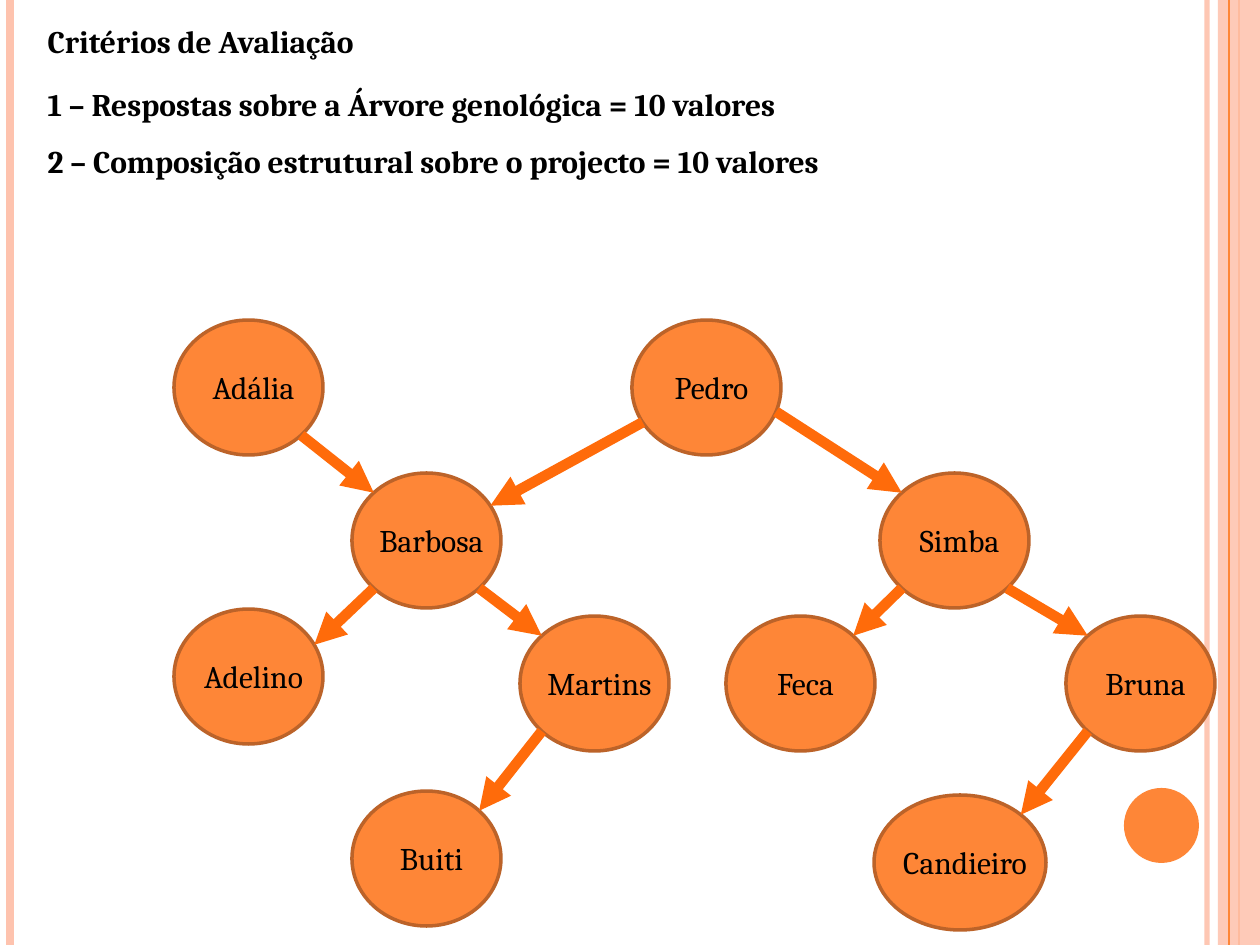
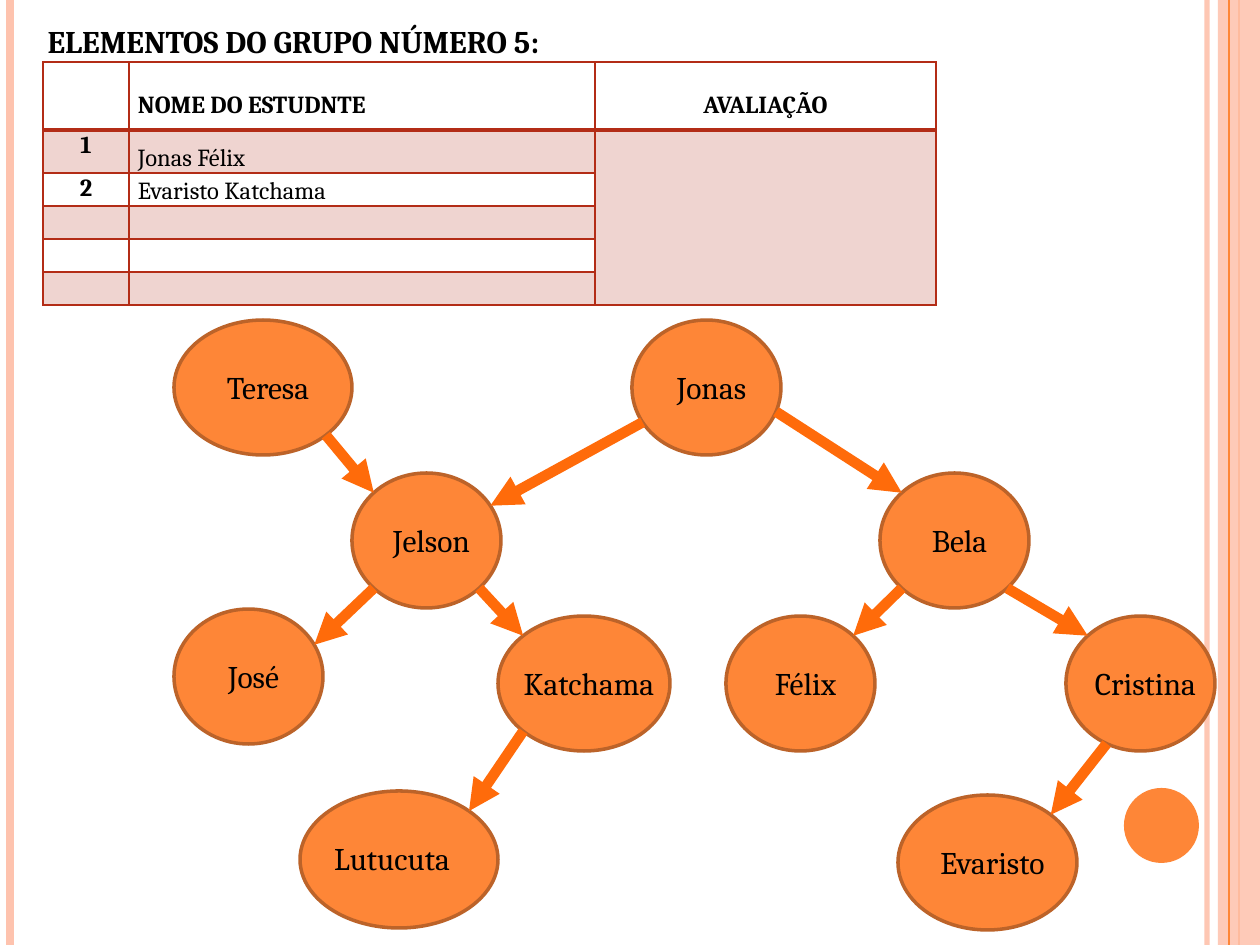
from dataclasses import dataclass
from math import cos, radians, sin

from lxml import etree
from pptx import Presentation
from pptx.dml.color import RGBColor
from pptx.enum.shapes import MSO_CONNECTOR, MSO_SHAPE
from pptx.enum.text import MSO_ANCHOR, MSO_AUTO_SIZE, PP_ALIGN
from pptx.oxml.ns import qn
from pptx.util import Emu, Pt

STRAIGHT = MSO_CONNECTOR.STRAIGHT
OVAL, RECTANGLE = MSO_SHAPE.OVAL, MSO_SHAPE.RECTANGLE
TOP, BOTTOM = MSO_ANCHOR.TOP, MSO_ANCHOR.BOTTOM
LEFT, CENTER, JUSTIFY = PP_ALIGN.LEFT, PP_ALIGN.CENTER, PP_ALIGN.JUSTIFY
FIXED_SIZE = MSO_AUTO_SIZE.NONE

EMU_PER_PIXEL = 914400 / 126
SLIDE_WIDTH, SLIDE_HEIGHT = 1260, 945
TITLE_ONLY, TITLE_AND_BODY = 5, 1


@dataclass(frozen=True)
class Theme:
    font: str = "Cambria"
    text: RGBColor = RGBColor(0, 0, 0)
    orange: RGBColor = RGBColor.from_string("FE8637")
    outline: RGBColor = RGBColor.from_string("BC6329")
    arrow: RGBColor = RGBColor.from_string("FF6B0A")
    band: RGBColor = RGBColor.from_string("FEC3AE")
    table: RGBColor = RGBColor.from_string("B32C16")
    text_size: int = 18
    table_size: int = 14
    criteria_pitch: float = 32.5


THEME = Theme()

NODE_WIDTH, NODE_HEIGHT = 149, 135
LABEL_DROP, LABEL_HEIGHT, LABEL_EXTRA = 42, 50, 10

PLACES = {
    "mother": (174, 320),
    "father": (632, 320),
    "son": (352, 473),
    "daughter": (880, 473),
    "first_grandchild": (174, 609),
    "second_grandchild": (520, 616),
    "third_grandchild": (726, 616),
    "fourth_grandchild": (1066, 616),
    "left_descendant": (352, 791),
    "right_descendant": (874, 795),
}

LINKS = {
    ("mother", "son"): (45, 225),
    ("father", "son"): (149, 329),
    ("father", "daughter"): (21, 225),
    ("son", "first_grandchild"): (135, 332),
    ("son", "second_grandchild"): (45, 225),
    ("daughter", "third_grandchild"): (135, 315),
    ("daughter", "fourth_grandchild"): (45, 225),
    ("second_grandchild", "left_descendant"): (135, 315),
    ("fourth_grandchild", "right_descendant"): (135, 315),
}


@dataclass(frozen=True)
class Person:
    name: str
    left: int
    top: int
    width: int = NODE_WIDTH
    height: int = NODE_HEIGHT
    label_shift: int = 0

    def edge(self, angle):
        turn = radians(angle)
        return (self.left + self.width / 2 * (1 + cos(turn)),
                self.top + self.height / 2 * (1 + sin(turn)))


def px(*lengths):
    return [Emu(round(length * EMU_PER_PIXEL)) for length in lengths]


def set_alpha(element, percent):
    color = element.find(".//" + qn("a:srgbClr"))
    etree.SubElement(color, qn("a:alpha"), val=str(percent * 1000))


def format_paragraph(paragraph, size, align, bold=False):
    paragraph.alignment = align
    font = paragraph.font
    font.name, font.size, font.bold = THEME.font, Pt(size), bold
    font.color.rgb = THEME.text


def add_filled(shapes, preset, box, fill, outline=None):
    shape = shapes.add_shape(preset, *px(*box))
    shape.shadow.inherit = False
    shape.fill.solid()
    shape.fill.fore_color.rgb = fill
    if outline:
        shape.line.color.rgb = outline
        shape.line.width = Pt(2)
    else:
        shape.line.fill.background()
    return shape


def add_line(slide, start, end, color, width):
    line = slide.shapes.add_connector(STRAIGHT, *px(*start, *end))
    line.line.color.rgb = color
    line.line.width = Pt(width)
    etree.SubElement(line.element.spPr, qn("a:effectLst"))
    return line


def add_arrow(slide, start, end):
    arrow = add_line(slide, start, end, THEME.arrow, 6)
    outline = arrow.element.spPr.find(qn("a:ln"))
    etree.SubElement(outline, qn("a:tailEnd"), type="triangle")


def decorate_master(deck, slide):
    def rule(x, color, width):
        return add_line(slide, (x, 0), (x, SLIDE_HEIGHT), color, width)

    inner_rule = rule(1207, THEME.band, 3)
    set_alpha(inner_rule.element.spPr, 93)
    left_rule = rule(10, THEME.band, 4.5)
    outer_rule = rule(1239, THEME.orange, 1.5)
    side_band = add_filled(slide.shapes, RECTANGLE,
                           (1218, 0, SLIDE_WIDTH - 1218, SLIDE_HEIGHT), THEME.band)
    set_alpha(side_band.element.spPr, 87)
    thin_rule = rule(1229, THEME.orange, 0.75)
    disc = add_filled(slide.shapes, OVAL, (1124, 788, 75, 75), THEME.orange)
    decoration = (inner_rule, left_rule, outer_rule, side_band, thin_rule, disc)
    for number, part in enumerate(decoration, start=101):
        part.element.find(".//" + qn("p:cNvPr")).set("id", str(number))
        deck.slide_master.shapes.element.append(part.element)


def fill_placeholder(placeholder, box, lines):
    placeholder.left, placeholder.top, placeholder.width, placeholder.height = px(*box)
    frame = placeholder.text_frame
    frame.text = "\n".join(lines)
    frame.word_wrap = True
    frame.auto_size = FIXED_SIZE
    frame.vertical_anchor = TOP
    for paragraph in frame.paragraphs:
        format_paragraph(paragraph, THEME.text_size, JUSTIFY, bold=True)
        paragraph.space_before = Pt(0)
    return frame


def add_title(slide, title):
    fill_placeholder(slide.shapes.title, (35, 16, 1032, 50), [title])


def add_criteria(slide, criteria):
    frame = fill_placeholder(slide.placeholders[1], (35, 60, 1111, 126), criteria)
    for paragraph in frame.paragraphs:
        paragraph.line_spacing = Pt(THEME.criteria_pitch)
        properties = paragraph.font._element.getparent()
        properties.set("marL", "0")
        properties.set("indent", "0")
        properties.find(qn("a:defRPr")).addprevious(
            etree.Element(qn("a:buNone")))


def add_person(slide, person):
    group = slide.shapes.add_group_shape()
    add_filled(group.shapes, OVAL,
               (person.left, person.top, person.width, person.height),
               THEME.orange, THEME.outline)
    label = group.shapes.add_textbox(
        *px(person.left + person.label_shift, person.top + LABEL_DROP,
            person.width + LABEL_EXTRA, LABEL_HEIGHT))
    frame = label.text_frame
    frame.word_wrap = True
    frame.text = person.name
    format_paragraph(frame.paragraphs[0], THEME.text_size, CENTER)


def add_family_tree(slide, names, adjusted=None, turned=None):
    adjusted = adjusted or {}
    links = LINKS | (turned or {})
    family = {}
    for (role, (left, top)), name in zip(PLACES.items(), names):
        details = {"left": left, "top": top} | adjusted.get(role, {})
        family[role] = Person(name, **details)
        add_person(slide, family[role])
    for (parent, child), (leaving, arriving) in links.items():
        add_arrow(slide, family[parent].edge(leaving), family[child].edge(arriving))


def add_cell_border(cell, side, width):
    border = etree.SubElement(cell._tc.get_or_add_tcPr(), qn("a:ln" + side),
                              w=str(Pt(width)))
    fill = etree.SubElement(border, qn("a:solidFill"))
    etree.SubElement(fill, qn("a:srgbClr"), val=str(THEME.table))


def format_cell(cell, row, column, text):
    header = row == 0
    cell.margin_left, cell.margin_right = px(9, 9)
    cell.margin_top, cell.margin_bottom = px(28 if header else 0, 0)
    cell.vertical_anchor = BOTTOM if column == 1 and not header else TOP
    cell.text = text
    paragraph = cell.text_frame.paragraphs[0]
    format_paragraph(paragraph, THEME.table_size, LEFT if column == 1 else CENTER,
                     bold=header or column == 0)
    paragraph.line_spacing = 1.07
    if not text:
        etree.SubElement(paragraph._p, qn("a:endParaRPr"),
                         sz=str(THEME.table_size * 100))
    header_edge = {"B": 0, "T": 1}
    for side in "LRTB":
        add_cell_border(cell, side, 2 if header_edge.get(side) == row else 1)
    if row % 2 or (column == 2 and not header):
        cell.fill.solid()
        cell.fill.fore_color.rgb = THEME.table
        set_alpha(cell._tc.tcPr.find(qn("a:solidFill")), 20)
    else:
        cell.fill.background()


def add_student_table(slide, rows):
    widths, heights = (86, 466, 341), (68, 43, 33, 33, 33, 33)
    frame = slide.shapes.add_table(len(heights), len(widths),
                                   *px(43, 62, sum(widths), sum(heights)))
    table = frame.table
    table.first_row = table.horz_banding = False
    for column, width in zip(table.columns, px(*widths)):
        column.width = width
    for row, height in zip(table.rows, px(*heights)):
        row.height = height
    for row in range(len(heights)):
        texts = rows[row] if row < len(rows) else ("",) * len(widths)
        for column, text in enumerate(texts):
            format_cell(table.cell(row, column), row, column, text)
    table.cell(1, 2).merge(table.cell(len(heights) - 1, 2))


def main():
    deck = Presentation()
    deck.slide_width, deck.slide_height = px(SLIDE_WIDTH, SLIDE_HEIGHT)

    criteria = deck.slides.add_slide(deck.slide_layouts[TITLE_AND_BODY])
    decorate_master(deck, criteria)
    add_title(criteria, "Critérios de Avaliação")
    add_criteria(criteria, [
        "1 – Respostas sobre a Árvore genológica = 10 valores ",
        "2 – Composição estrutural sobre o projecto = 10 valores",
    ])
    add_family_tree(
        criteria,
        ["Adália", "Pedro", "Barbosa", "Simba", "Adelino", "Martins", "Feca",
         "Bruna", "Buiti", "Candieiro"],
        adjusted={"right_descendant": {"width": 172}},
    )

    students = deck.slides.add_slide(deck.slide_layouts[TITLE_ONLY])
    add_title(students, "ELEMENTOS DO GRUPO NÚMERO 5:")
    add_student_table(students, [
        ("", "NOME DO ESTUDNTE", "AVALIAÇÃO"),
        ("1", "Jonas Félix", ""),
        ("2", "Evaristo Katchama", ""),
    ])
    add_family_tree(
        students,
        ["Teresa", "Jonas", "Jelson", "Bela", "José", "Katchama", "Félix",
         "Cristina", "Lutucuta", "Evaristo"],
        adjusted={
            "mother": {"width": 178},
            "second_grandchild": {"left": 498, "width": 172},
            "left_descendant": {"left": 300, "width": 198, "height": 137,
                                "label_shift": -12},
            "right_descendant": {"left": 898, "width": 179},
        },
        turned={("fourth_grandchild", "right_descendant"): (117, 315)},
    )
    deck.save("out.pptx")


main()
